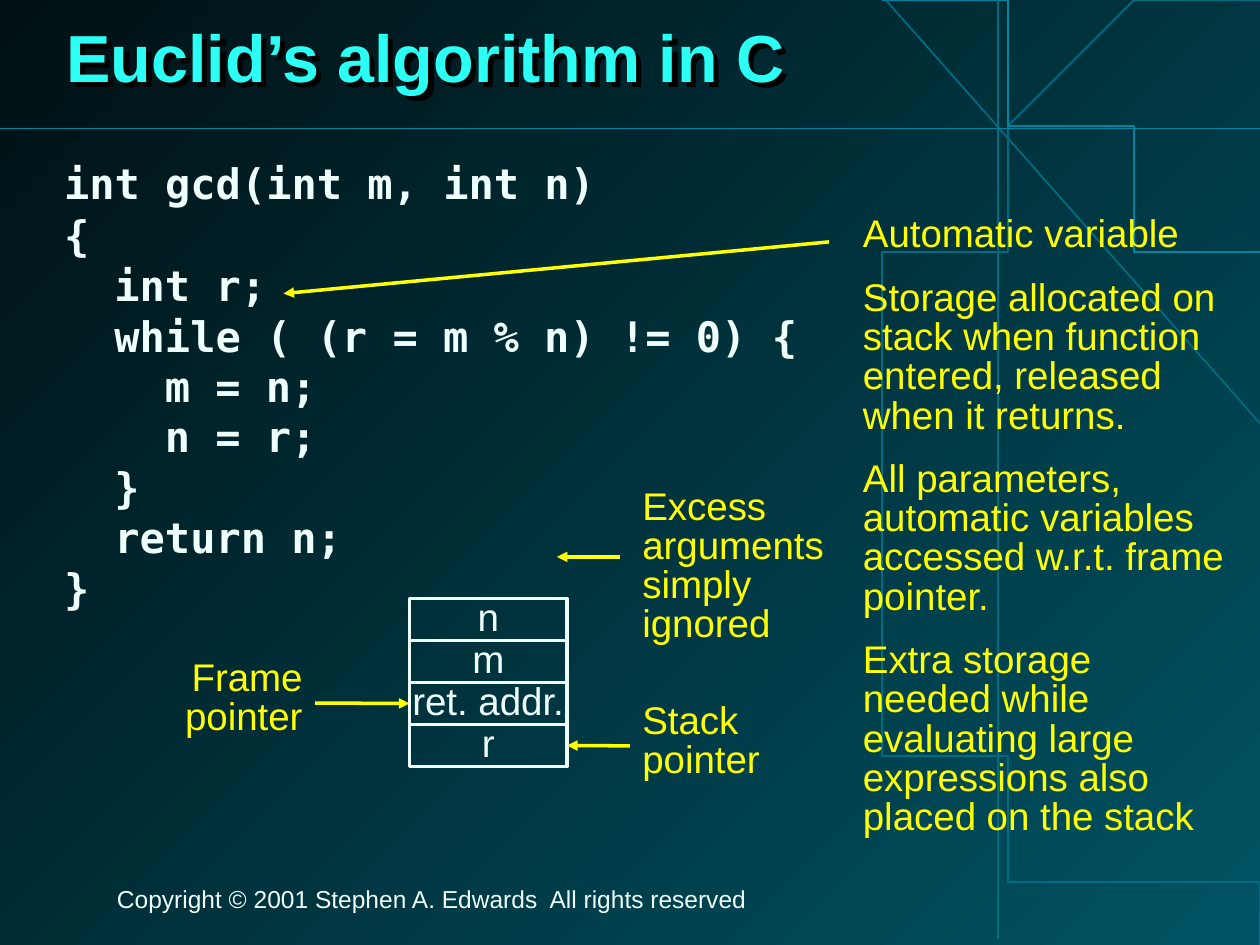
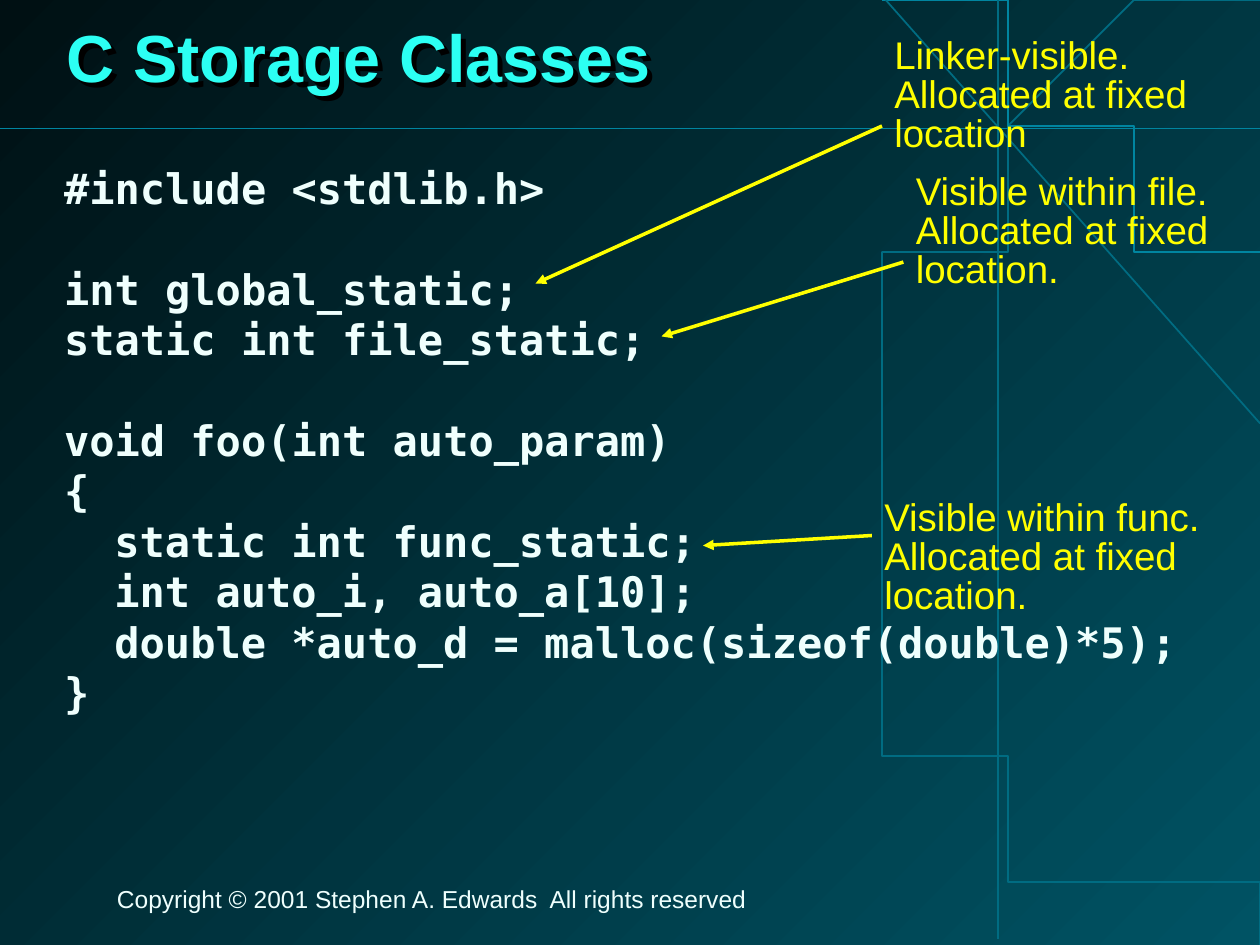
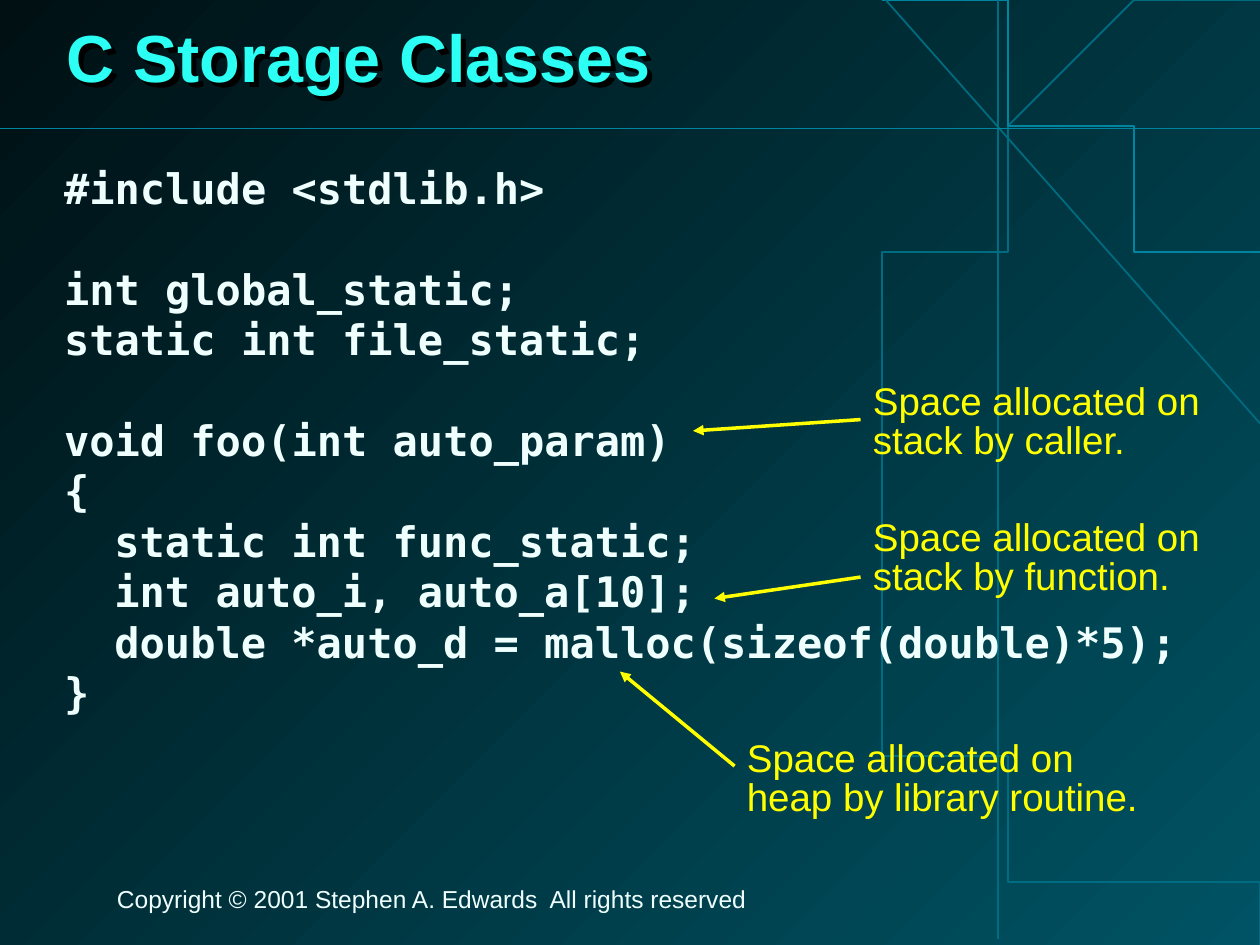
from lxml import etree
from pptx import Presentation
from pptx.dml.color import RGBColor
from pptx.enum.shapes import MSO_CONNECTOR, MSO_SHAPE
from pptx.enum.text import MSO_ANCHOR, PP_ALIGN
from pptx.oxml.ns import qn
from pptx.util import Inches, Pt

STRAIGHT = MSO_CONNECTOR.STRAIGHT
RECTANGLE = MSO_SHAPE.RECTANGLE
MIDDLE = MSO_ANCHOR.MIDDLE
LEFT, CENTER, RIGHT = PP_ALIGN.LEFT, PP_ALIGN.CENTER, PP_ALIGN.RIGHT
LEFT_SIDE, RIGHT_SIDE = 1, 3

COLORS = {
    "light": "005364",
    "dark": "001013",
    "dim_line": "006C82",
    "bright_line": "0085A0",
    "title": "2CFFF3",
    "text": "EFFFFD",
    "note": "FFFF00",
    "shadow": "000000",
}
SANS, MONO = "Arial", "DejaVu Sans Mono"
CODE_LINE = Pt(28.8)
CODE_LEVEL = Inches(0.4)
CURVE_STEPS = 40
COPYRIGHT = "Copyright © 2001 Stephen A. Edwards  All rights reserved"

GCD_CODE = """int gcd(int m, int n)
{
  int r;
  while ( (r = m % n) != 0) {
    m = n;
    n = r;
  }
  return n;
}"""

STORAGE_CODE = """#include <stdlib.h>

int global_static;
static int file_static;

void foo(int auto_param)
{
  static int func_static;
  int auto_i, auto_a[10];
  double *auto_d = malloc(sizeof(double)*5);
}"""

GCD_NOTES = [
    "Automatic variable",
    "Storage allocated on stack when function entered, released when it returns.",
    "All parameters, automatic variables accessed w.r.t. frame pointer.",
    "Extra storage needed while evaluating large expressions also placed on the stack",
]

VISIBILITY_NOTES = [
    ("Linker-visible. Allocated at fixed location", (7, 0.25), 2.83, (7, 1), (4.25, 2.25)),
    ("Visible within file. Allocated at fixed location.", (7.17, 1.33), 2.83, (7.17, 2.08), (5.25, 2.67)),
    ("Visible within func. Allocated at fixed location.", (6.92, 3.92), 2.83, (6.92, 4.25), (5.58, 4.33)),
]

ALLOCATION_NOTES = [
    ("Space allocated on stack by function.", (6.83, 4.08), 2.83, (6.83, 4.58), (5.67, 4.75)),
    ("Space allocated on stack by caller.", (6.83, 3), 2.83, (6.83, 3.33), (5.5, 3.42)),
    ("Space allocated on heap by library routine.", (5.83, 5.83), 3.33, (5.83, 6.08), (4.92, 5.33)),
]


def color(name):
    return RGBColor.from_string(COLORS[name])


def add_span(para, text, size, color_name, font=SANS, bold=False):
    span = para.add_run()
    span.text = text
    span.font.name = font
    span.font.size = Pt(size)
    span.font.bold = bold
    span.font.color.rgb = color(color_name)


def add_box(page, left, top, width, height):
    box = page.shapes.add_textbox(Inches(left), Inches(top), Inches(width), Inches(height))
    box.text_frame.word_wrap = True
    return box


def add_paragraphs(frame, texts, size, color_name, align=LEFT, spacing=0.85, gap=0, bold=False):
    for index, text in enumerate(texts):
        para = frame.add_paragraph() if index else frame.paragraphs[0]
        para.alignment = align
        para.line_spacing = spacing
        para.space_before = Pt(gap if index else 0)
        add_span(para, text, size, color_name, bold=bold)


def add_line(page, start, end, color_name, width=1):
    points = [Inches(value) for value in (*start, *end)]
    line = page.shapes.add_connector(STRAIGHT, *points)
    line.line.color.rgb = color(color_name)
    line.line.width = Pt(width)
    etree.SubElement(line._element.spPr, qn("a:effectLst"))
    return line


def add_arrow(page, start, end):
    arrow = add_line(page, start, end, "note", 2)
    etree.SubElement(arrow.line._get_or_add_ln(), qn("a:tailEnd"), type="triangle")
    return arrow


def bezier(start, first, second, end):
    for step in range(1, CURVE_STEPS + 1):
        t = step / CURVE_STEPS
        u = 1 - t
        yield tuple(
            u**3 * a + 3 * u * u * t * b + 3 * u * t * t * c + t**3 * d
            for a, b, c, d in zip(start, first, second, end)
        )


def add_curve(page, start, segments, color_name):
    builder = page.shapes.build_freeform(*start, scale=Inches(1))
    for first, second, end in segments:
        builder.add_line_segments(bezier(start, first, second, end), close=False)
        start = end
    curve = builder.convert_to_shape()
    curve.shadow.inherit = False
    curve.fill.background()
    curve.line.color.rgb = color(color_name)
    curve.line.width = Pt(1)


def add_title(page, text):
    box = add_box(page, 0.43, 0, 9.21, 0.98)
    box.text_frame.vertical_anchor = MIDDLE
    add_paragraphs(box.text_frame, [text], 38, "title", spacing=0.87, bold=True)
    effects = etree.SubElement(box._element.spPr, qn("a:effectLst"))
    shadow = etree.SubElement(
        effects, qn("a:outerShdw"), dist=str(Inches(0.06)), dir="2700000", algn="tl"
    )
    etree.SubElement(shadow, qn("a:srgbClr"), val=COLORS["shadow"])


def add_code(page, code, first_spacing=1.0):
    frame = add_box(page, 0.41, 1.24, 9.12, 5.59).text_frame
    para, gap = None, 0
    for line in code.splitlines():
        if not line:
            gap = CODE_LINE
            continue
        spacing = 1.0 if para else first_spacing
        para = frame.add_paragraph() if para else frame.paragraphs[0]
        para.line_spacing = spacing
        para.space_before = gap
        statement = line.lstrip()
        level = (len(line) - len(statement)) // 2
        para._p.get_or_add_pPr().set("marL", str(level * CODE_LEVEL))
        add_span(para, statement, 24, "text", MONO, True)
        gap = 0


def add_note(page, texts, left, top, width, height=0.73, align=LEFT):
    frame = add_box(page, left, top, width, height).text_frame
    add_paragraphs(frame, texts, 22, "note", align, gap=13.8)


def add_pointed_notes(page, notes):
    for text, (left, top), width, start, end in notes:
        add_arrow(page, start, end)
        add_note(page, [text], left, top, width)


def add_stack(page, labels, left, top, width, height):
    cells = []
    for index, label in enumerate(labels):
        cell = page.shapes.add_shape(
            RECTANGLE, Inches(left), Inches(top + index * height), Inches(width), Inches(height)
        )
        cell.shadow.inherit = False
        cell.fill.background()
        cell.line.color.rgb = color("text")
        cell.line.width = Pt(2)
        cell.text_frame.word_wrap = False
        cell.text_frame.vertical_anchor = MIDDLE
        add_paragraphs(cell.text_frame, [label], 22, "text", CENTER)
        cells.append(cell)
    return cells


def set_background(deck):
    fill = deck.slide_master.background.fill
    fill.gradient()
    fill.gradient_angle = 135
    for stop, name in zip(fill.gradient_stops, ("light", "dark")):
        stop.color.rgb = color(name)


def add_page(deck, title):
    page = deck.slides.add_slide(deck.slide_layouts[6])
    large_arc = [
        ((8.22, 7.41), (6.91, 5.69), (6.96, 3.64)),
        ((7.01, 1.59), (8.4, -0.03), (10, 0)),
    ]
    add_curve(page, (9.9, 7.5), large_arc, "dim_line")
    add_curve(page, (9.97, 1.9), [((8.71, 1.89), (7.64, 1.08), (7.44, 0))], "bright_line")
    add_line(page, (10, 3.36), (7.03, 0), "dim_line")
    add_line(page, (7.92, 0), (7.92, 7.45), "dim_line")
    add_line(page, (0, 1.02), (10, 1.02), "bright_line")
    footer = add_box(page, 0.83, 7, 8.08, 0.3)
    add_paragraphs(footer.text_frame, [COPYRIGHT], 14, "text")
    add_title(page, title)
    return page


def build_gcd_page(deck):
    page = add_page(deck, "Euclid’s algorithm in C")
    add_code(page, GCD_CODE, 0.93)
    add_arrow(page, (6.58, 1.92), (2.25, 2.33))
    add_note(page, GCD_NOTES, 6.75, 1.67, 3.08, 5.04)
    cells = add_stack(page, ["n", "m", "ret. addr.", "r"], 3.25, 4.75, 1.25, 1 / 3)
    frame_arrow = add_arrow(page, (2.5, 5.58), (3.25, 5.58))
    frame_arrow.end_connect(cells[2], LEFT_SIDE)
    add_note(page, ["Frame pointer"], 1.33, 5.19, 1.17, align=RIGHT)
    stack_arrow = add_arrow(page, (5, 5.92), (4.5, 5.92))
    stack_arrow.end_connect(cells[3], RIGHT_SIDE)
    add_note(page, ["Stack pointer"], 5, 5.53, 1.17)
    add_arrow(page, (4.92, 4.42), (4.42, 4.42))
    add_note(page, ["Excess arguments simply ignored"], 5, 3.83, 1.67, 1.35)


def build_storage_page(deck, notes):
    page = add_page(deck, "C Storage Classes")
    add_code(page, STORAGE_CODE)
    add_pointed_notes(page, notes)


def main():
    deck = Presentation()
    deck.slide_width, deck.slide_height = Inches(10), Inches(7.5)
    set_background(deck)
    build_gcd_page(deck)
    build_storage_page(deck, VISIBILITY_NOTES)
    build_storage_page(deck, ALLOCATION_NOTES)
    deck.save("out.pptx")


if __name__ == "__main__":
    main()
